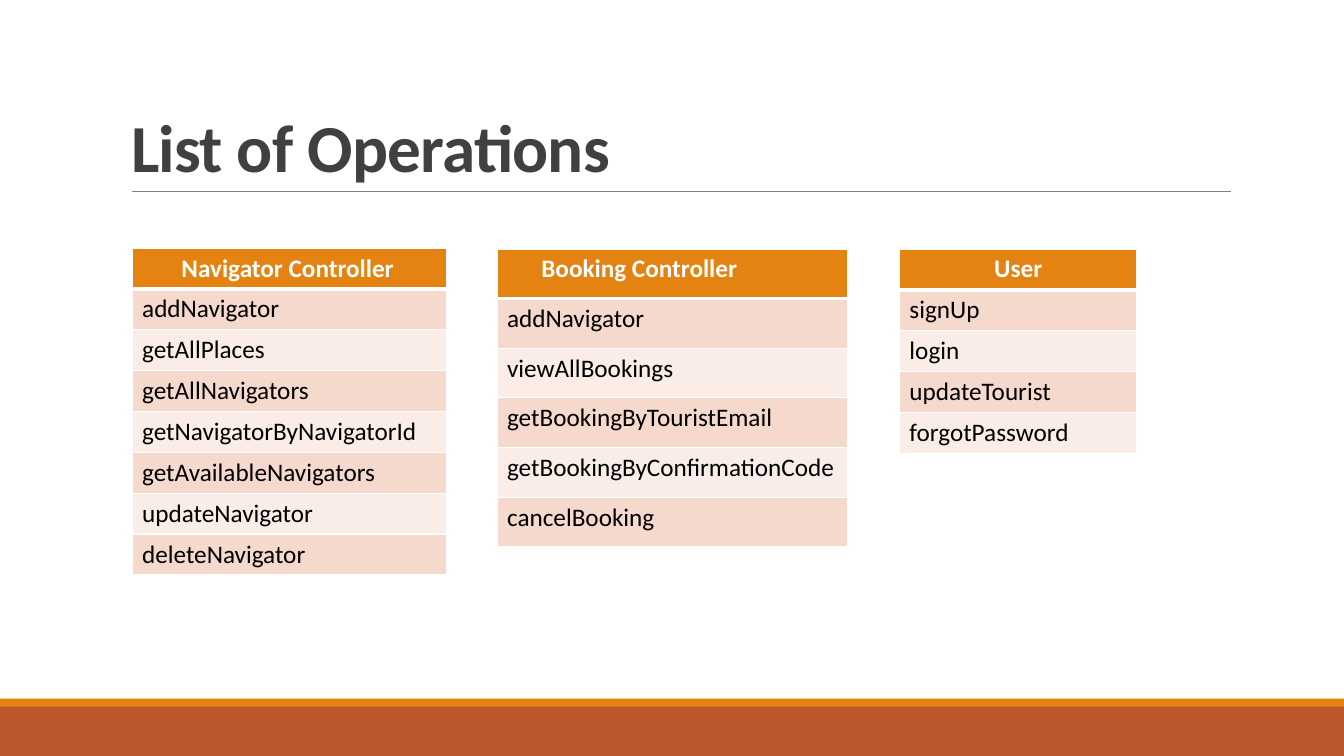
from lxml.etree import SubElement
from pptx import Presentation
from pptx.dml.color import RGBColor
from pptx.enum.shapes import MSO_CONNECTOR, MSO_SHAPE
from pptx.enum.text import MSO_ANCHOR, PP_ALIGN
from pptx.oxml.ns import qn
from pptx.util import Inches, Pt

WIDTH, HEIGHT = Inches(13.33), Inches(7.5)
ORANGE = RGBColor(0xE4, 0x83, 0x12)
RUST = RGBColor(0xBD, 0x58, 0x2C)
PEACH = RGBColor(0xF5, 0xD9, 0xCC)
PALE_PEACH = RGBColor(0xFA, 0xED, 0xE7)
WHITE = RGBColor(0xFF, 0xFF, 0xFF)
BLACK = RGBColor(0, 0, 0)
CHARCOAL = RGBColor(0x40, 0x40, 0x40)
GREY = RGBColor(0x80, 0x80, 0x80)

FOOTER_BARS = [(92.4, 0.93, ORANGE), (93.33, 6.67, RUST), (92.53, 0.93, ORANGE)]
BOOKING = ["Booking Controller", "addNavigator", "viewAllBookings",
           "getBookingByTouristEmail", "getBookingByConfirmationCode", "cancelBooking"]
NAVIGATOR = ["Navigator Controller", "addNavigator", "getAllPlaces", "getAllNavigators",
             "getNavigatorByNavigatorId", "getAvailableNavigators", "updateNavigator",
             "deleteNavigator"]
USER = ["User", "signUp", "login", "updateTourist", "forgotPassword"]


def across(percent):
    """Return a percentage of the slide's width."""
    return round(WIDTH * percent / 100)


def down(percent):
    """Return a percentage of the slide's height."""
    return round(HEIGHT * percent / 100)


def set_format(target, values):
    """Set each named attribute of the target."""
    for name, value in values.items():
        setattr(target, name, value)


def set_font(font, size, color, bold):
    """Format a font in the slide's typeface."""
    set_format(font, {"name": "Calibri", "size": Pt(size), "bold": bold})
    font.color.rgb = color


def add_bar(slide, top, height, color):
    """Add a full-width bar at the foot of the slide."""
    bar = slide.shapes.add_shape(MSO_SHAPE.RECTANGLE, 0, down(top), WIDTH, down(height))
    bar.shadow.inherit = False
    bar.fill.solid()
    bar.fill.fore_color.rgb = color
    bar.line.fill.background()


def add_rule(slide, left, right, top):
    """Add the thin line below the title."""
    rule = slide.shapes.add_connector(
        MSO_CONNECTOR.STRAIGHT, across(left), down(top), across(right), down(top))
    rule.line.color.rgb = GREY
    rule.line.width = Pt(0.5)
    SubElement(rule._element.spPr, qn("a:effectLst"))


def add_title(slide, text):
    """Place and format the title placeholder."""
    title = slide.shapes.title
    set_format(title, {"left": across(9), "top": down(4.13),
                       "width": across(82.5), "height": down(21.2)})
    title.text_frame.text = text
    set_format(title.text_frame, {"vertical_anchor": MSO_ANCHOR.BOTTOM, "word_wrap": True})
    paragraph = title.text_frame.paragraphs[0]
    set_format(paragraph, {"alignment": PP_ALIGN.LEFT, "line_spacing": 0.85})
    run = paragraph.runs[0]
    set_font(run.font, 48, CHARCOAL, True)
    run.font._element.set("spc", "-50")


def add_borders(cell, bottom_points):
    """Draw white borders around a cell, before its fill is set."""
    properties = cell._tc.get_or_add_tcPr()
    for side, points in {"L": 1, "R": 1, "T": 1, "B": bottom_points}.items():
        border = SubElement(properties, qn(f"a:ln{side}"), w=str(Pt(points)))
        fill = SubElement(border, qn("a:solidFill"))
        SubElement(fill, qn("a:srgbClr"), val=str(WHITE))


def add_operations(slide, operations, left, top, width, row_height, heading_indent):
    """Add a one-column table whose first row is an indented heading."""
    count = len(operations)
    table = slide.shapes.add_table(
        count, 1, across(left), down(top), across(width), down(row_height) * count).table
    for index, operation in enumerate(operations):
        heading = index == 0
        cell = table.cell(index, 0)
        cell.text = operation
        add_borders(cell, 3 if heading else 1)
        cell.fill.solid()
        cell.fill.fore_color.rgb = ORANGE if heading else (PALE_PEACH, PEACH)[index % 2]
        if heading:
            cell.margin_left = Inches(heading_indent)
        set_font(cell.text_frame.paragraphs[0].runs[0].font, 18,
                 WHITE if heading else BLACK, heading)


def main():
    """Build and save the slide."""
    presentation = Presentation()
    set_format(presentation, {"slide_width": WIDTH, "slide_height": HEIGHT})
    slide = presentation.slides.add_slide(presentation.slide_layouts[5])
    for top, height, color in FOOTER_BARS:
        add_bar(slide, top, height, color)
    add_rule(slide, 9.83, 91.58, 25.33)
    add_title(slide, "List of Operations")
    add_operations(slide, BOOKING, 36.98, 32.93, 26.1, 6.57, 0.44)
    add_operations(slide, NAVIGATOR, 9.83, 32.8, 23.4, 5.4, 0.49)
    add_operations(slide, USER, 66.92, 32.93, 17.62, 5.4, 0.94)
    presentation.save("out.pptx")


if __name__ == "__main__":
    main()
